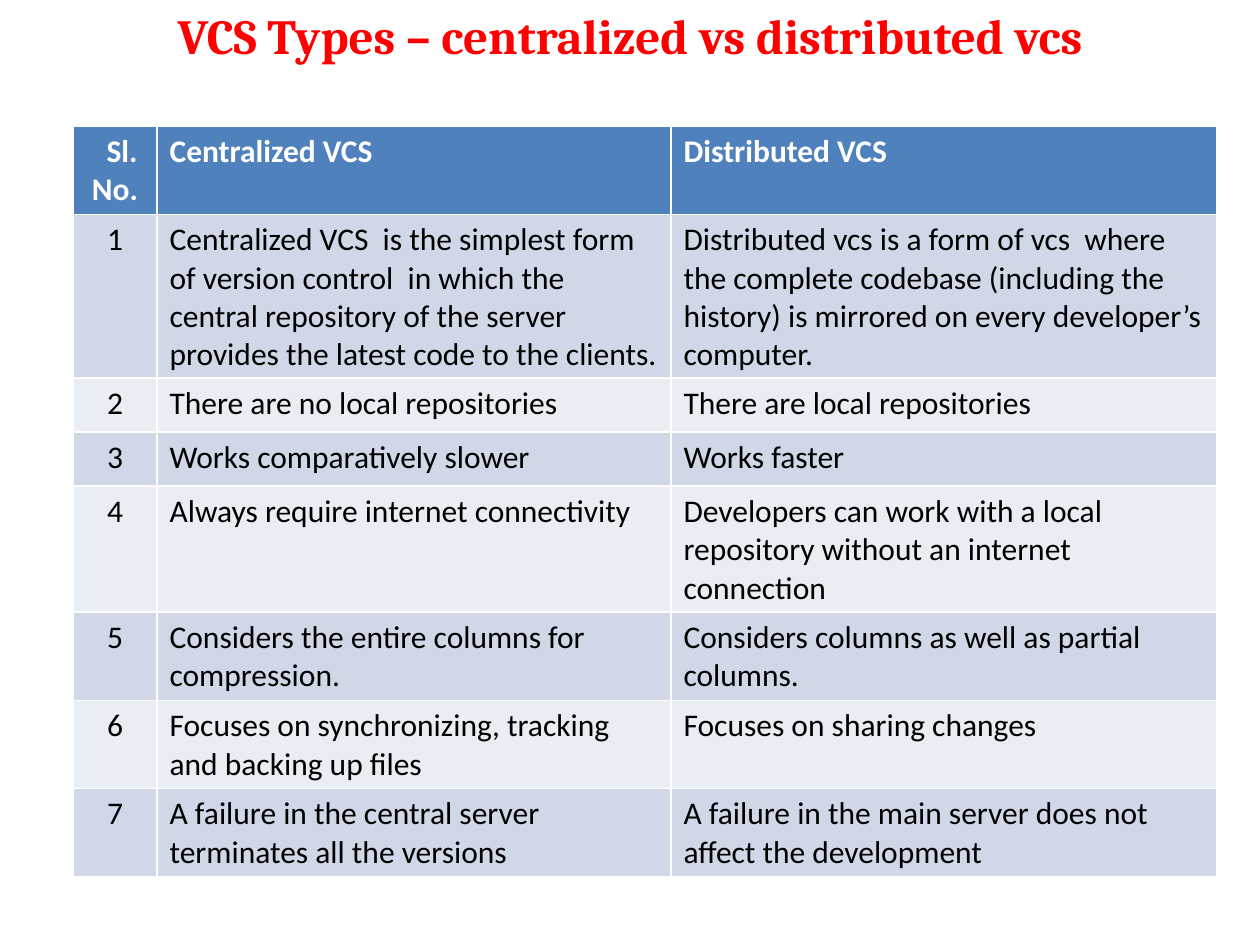
from pptx import Presentation
from pptx.dml.color import RGBColor as RGB
from pptx.enum.text import MSO_ANCHOR as ANCHOR, PP_ALIGN as ALIGN
from pptx.util import Emu, Pt

PX = 914400 // 126  # EMU per px
THEME = {
    "title": {"name": "Cambria", "size": Pt(28), "bold": True},
    "head": {"name": "Calibri", "size": Pt(18), "bold": True},
    "body": {"name": "Calibri", "size": Pt(18), "bold": False},
    "title_color": RGB.from_string("FF0000"),
    "head_color": RGB.from_string("FFFFFF"),
    "body_color": RGB.from_string("000000"),
    "head_fill": RGB.from_string("4F81BD"),
    "bands": [RGB.from_string("E9EDF4"), RGB.from_string("D0D8E8")],
}
COLUMN_WIDTHS = [84, 514, 546]
HEAD_HEIGHT, ROW_HEIGHT = 37, 54
HEADINGS = ("  Sl. No.", "Centralized VCS", "Distributed VCS")
COMPARISON = [
    ("Centralized VCS  is the simplest form of version control  in which the "
     "central repository of the server  provides the latest code to the clients.",
     "Distributed vcs is a form of vcs  where the complete codebase (including "
     "the history) is mirrored on every developer’s computer."),
    ("There are no local repositories", "There are local repositories"),
    ("Works comparatively slower", "Works faster"),
    ("Always require internet connectivity",
     "Developers can work with a local repository without an internet connection"),
    ("Considers the entire columns for compression.",
     "Considers columns as well as partial columns."),
    ("Focuses on synchronizing, tracking and backing up files",
     "Focuses on sharing changes"),
    ("A failure in the central server terminates all the versions",
     "A failure in the main server does not affect the development"),
]


def box(*lengths):
    return [Emu(n * PX) for n in lengths]


def write(tf, text, style, align):
    p = tf.paragraphs[0]
    p.alignment = align
    r = p.add_run()
    r.text = text
    for key, value in THEME[style].items():
        setattr(r.font, key, value)
    r.font.color.rgb = THEME[style + "_color"]


prs = Presentation()
prs.slide_width, prs.slide_height = box(1260, 945)
s = prs.slides.add_slide(prs.slide_layouts[6])

# Title
tf = s.shapes.add_textbox(*box(63, 6, 1134, 57)).text_frame
tf.word_wrap = True
tf.vertical_anchor = ANCHOR.MIDDLE
write(tf, "VCS Types – centralized vs distributed vcs", "title", ALIGN.CENTER)

# Comparison table
rows = [HEADINGS] + [(str(n), *pair) for n, pair in enumerate(COMPARISON, 1)]
height = HEAD_HEIGHT + ROW_HEIGHT * len(COMPARISON)
table = s.shapes.add_table(len(rows), len(HEADINGS),
                           *box(73, 126, sum(COLUMN_WIDTHS), height)).table
for column, width in zip(table.columns, COLUMN_WIDTHS):
    column.width = Emu(width * PX)

for i, row in enumerate(rows):
    table.rows[i].height = Emu((ROW_HEIGHT if i else HEAD_HEIGHT) * PX)
    for j, text in enumerate(row):
        cell = table.cell(i, j)
        cell.fill.solid()
        cell.fill.fore_color.rgb = THEME["bands"][i % 2] if i else THEME["head_fill"]
        write(cell.text_frame, text, "body" if i else "head",
              ALIGN.LEFT if j else ALIGN.CENTER)

prs.save("out.pptx")
